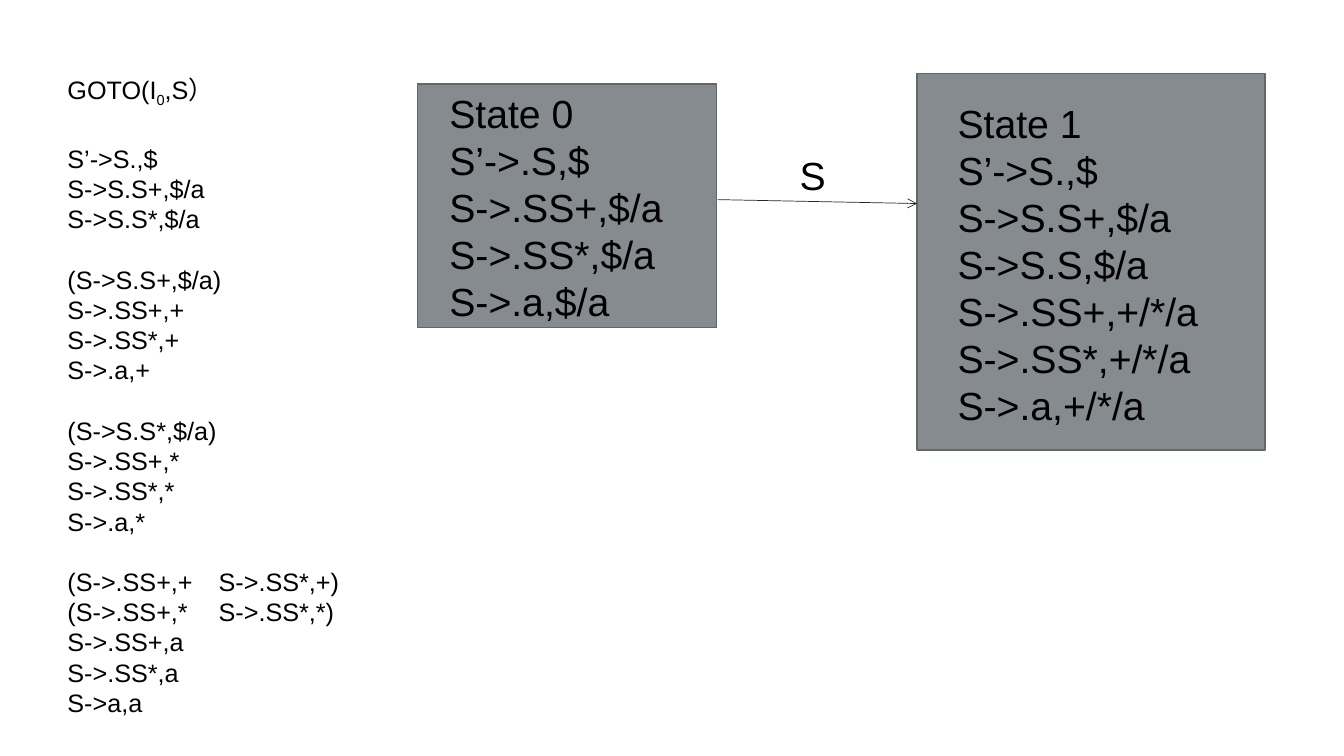
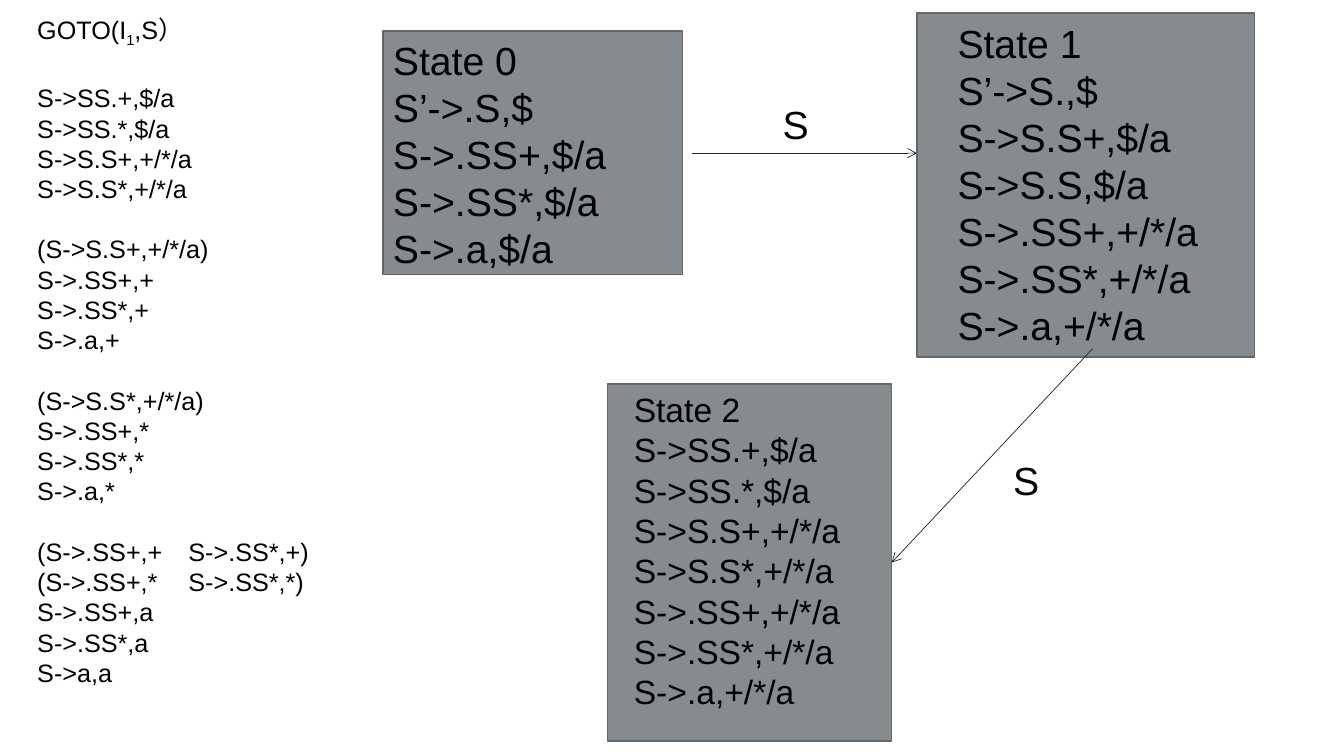
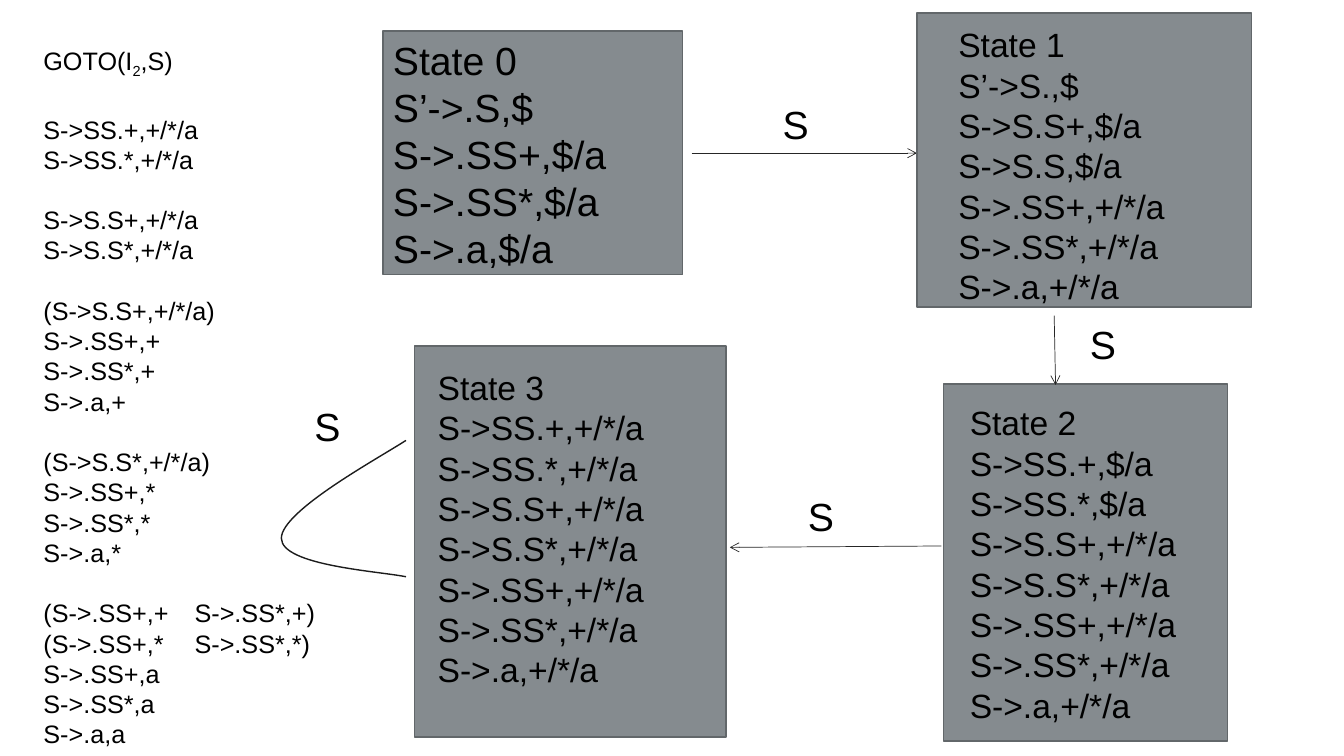
from pptx import Presentation
from pptx.dml.color import RGBColor
from pptx.enum.shapes import MSO_CONNECTOR, MSO_SHAPE
from pptx.enum.text import MSO_ANCHOR, MSO_AUTO_SIZE, PP_ALIGN
from pptx.oxml.xmlchemy import OxmlElement
from pptx.util import Pt

FONT = "Arial"
BLACK = "000000"
BOX_FILL = "858B8F"
BOX_LINE = "62676A"
ARROW_LINE = "262626"
LOOP_LINE = "1C1C1C"
LINE_FACTOR = 1.2
ITEM_SIZE = 18
ITEM_LINE = ITEM_SIZE * LINE_FACTOR
HEADING_STEP = 46
TAB_STOP = 100
MARGIN_X, MARGIN_Y = 7.2, 3.6

KERNEL = ["S->S.S+,+/*/a", "S->S.S*,+/*/a"]
CLOSURE = ["S->.SS+,+/*/a", "S->.SS*,+/*/a", "S->.a,+/*/a"]
STATE_0 = ["State 0", "S’->.S,$", "S->.SS+,$/a", "S->.SS*,$/a", "S->.a,$/a"]
STATE_1 = ["State 1", "S’->S.,$", "S->S.S+,$/a", "S->S.S,$/a"] + CLOSURE
STATE_2 = ["State 2", "S->SS.+,$/a", "S->SS.*,$/a"] + KERNEL + CLOSURE
STATE_3 = ["State 3", "S->SS.+,+/*/a", "S->SS.*,+/*/a"] + KERNEL + CLOSURE


def closure_groups(lookahead, last_item):
    """Item groups that follow from the two kernel items."""
    groups = [
        [f"(S->S.S{sign},{lookahead})", f"S->.SS+,{sign}", f"S->.SS*,{sign}", f"S->.a,{sign}"]
        for sign in "+*"
    ]
    pairs = [f"(S->.SS+,{sign}\tS->.SS*,{sign})" for sign in "+*"]
    return groups + [pairs + ["S->.SS+,a", "S->.SS*,a", last_item]]


def color(hex_text):
    return RGBColor.from_string(hex_text)


def add_span(para, text, *, size, subscript=False):
    span = para.add_run()
    span.text = text
    span.font.name = FONT
    span.font.size = Pt(size)
    span.font.bold = False
    span.font.color.rgb = color(BLACK)
    if subscript:
        span._r.get_or_add_rPr().set("baseline", "-25000")


def write_text(frame, text, *, size, align=PP_ALIGN.LEFT, before=0, tab=None):
    """Write text as the next paragraph of the frame."""
    first = frame.paragraphs[0]
    para = frame.add_paragraph() if first.runs else first
    properties = para._p.get_or_add_pPr()
    properties.set("marL", "0")
    properties.set("indent", "0")
    properties.append(OxmlElement("a:buNone"))
    if tab:
        tabs = OxmlElement("a:tabLst")
        stop = OxmlElement("a:tab")
        stop.set("pos", str(Pt(tab)))
        stop.set("algn", "l")
        tabs.append(stop)
        properties.append(tabs)
    para.alignment = align
    para.line_spacing = Pt(size * LINE_FACTOR)
    para.space_before = Pt(before)
    para.space_after = Pt(0)
    add_span(para, text, size=size)
    return para


def place(shape, left, top, width, height):
    shape.left, shape.top = Pt(left), Pt(top)
    shape.width, shape.height = Pt(width), Pt(height)


def set_frame(shape, left=MARGIN_X, top=MARGIN_Y):
    frame = shape.text_frame
    frame.word_wrap = True
    frame.auto_size = MSO_AUTO_SIZE.NONE
    frame.vertical_anchor = MSO_ANCHOR.TOP
    frame.margin_left, frame.margin_top = Pt(left), Pt(top)
    frame.margin_right, frame.margin_bottom = Pt(0), Pt(0)
    return frame


def add_goto(deck, left, top, width, number, ending, groups):
    """Add a slide with a GOTO heading and its groups of items."""
    page = deck.slides.add_slide(deck.slide_layouts[1])
    heading, body = page.placeholders
    place(heading, left, top, width, 32)
    para = write_text(set_frame(heading), "GOTO(I", size=ITEM_SIZE)
    add_span(para, number, size=ITEM_SIZE, subscript=True)
    add_span(para, ending, size=ITEM_SIZE)

    line_count = sum(len(group) for group in groups) + len(groups) - 1
    place(body, left, top + HEADING_STEP, width, line_count * ITEM_LINE + MARGIN_Y)
    frame = set_frame(body)
    for group_index, group in enumerate(groups):
        for item_index, item in enumerate(group):
            gap = ITEM_LINE if group_index and not item_index else 0
            tab = TAB_STOP if "\t" in item else None
            write_text(frame, item, size=ITEM_SIZE, before=gap, tab=tab)
    return page


def add_state(page, lines, left, top, width, height, *, size, indent=MARGIN_X, drop=MARGIN_Y):
    box = page.shapes.add_shape(
        MSO_SHAPE.RECTANGLE, Pt(left), Pt(top), Pt(width), Pt(height))
    box.shadow.inherit = False
    box.fill.solid()
    box.fill.fore_color.rgb = color(BOX_FILL)
    box.line.color.rgb = color(BOX_LINE)
    box.line.width = Pt(1)
    frame = set_frame(box, indent, drop)
    for line in lines:
        write_text(frame, line, size=size)
    return box


def add_label(page, left, top, width, align=PP_ALIGN.CENTER):
    box = page.shapes.add_textbox(Pt(left), Pt(top), Pt(width), Pt(41))
    frame = set_frame(box)
    frame.margin_right = Pt(MARGIN_X)
    write_text(frame, "S", size=28, align=align)


def add_arrow(page, start, end):
    arrow = page.shapes.add_connector(
        MSO_CONNECTOR.STRAIGHT, *[Pt(value) for value in start + end])
    arrow.line.color.rgb = color(ARROW_LINE)
    arrow.line.width = Pt(0.5)
    head = OxmlElement("a:tailEnd")
    head.set("type", "arrow")
    arrow.line._get_or_add_ln().append(head)
    arrow._element.spPr.append(OxmlElement("a:effectLst"))
    return arrow


def add_curve(page, start, points):
    """Draw Bézier segments; every three points make one segment."""
    builder = page.shapes.build_freeform(Pt(start[0]), Pt(start[1]))
    builder.add_line_segments([(Pt(x), Pt(y)) for x, y in points], close=False)
    curve = builder.convert_to_shape()
    lines = curve._element.xpath(".//a:lnTo")
    for index in range(0, len(lines), 3):
        segment = OxmlElement("a:cubicBezTo")
        lines[index].addprevious(segment)
        for line in lines[index:index + 3]:
            segment.append(line[0])
            line.getparent().remove(line)
    curve.shadow.inherit = False
    curve.fill.background()
    curve.line.color.rgb = color(LOOP_LINE)
    curve.line.width = Pt(1)


def add_first_step(page):
    """Add state 0 and its arrow towards state 1."""
    add_state(page, STATE_0, 273.6, 22.3, 214, 174, size=28)
    add_arrow(page, (494, 109.4), (655, 109.4))
    add_label(page, 532.8, 68.4, 71)


def goto_from_0(deck):
    groups = [["S’->S.,$", "S->S.S+,$/a", "S->S.S*,$/a"]]
    page = add_goto(deck, 41, 52.5, 245, "0", ",S）",
                    groups + closure_groups("$/a", "S->a,a"))
    add_state(page, STATE_0, 298, 60, 214, 174, size=28, indent=23)
    add_state(page, STATE_1, 655, 52.5, 248.5, 269, size=28, indent=29, drop=18.7)
    add_arrow(page, (512.6, 142.6), (655, 145.4))
    add_label(page, 545, 104.4, 71)


def goto_from_1(deck):
    groups = [["S->SS.+,$/a", "S->SS.*,$/a"] + KERNEL]
    page = add_goto(deck, 19.4, 9.4, 222, "1", ",S）",
                    groups + closure_groups("+/*/a", "S->a,a"))
    add_first_step(page)
    add_state(page, STATE_1, 655, 9.4, 241, 245.5, size=28, indent=29, drop=4.3)
    state_2 = add_state(page, STATE_2, 434, 274.3, 203, 255, size=24, indent=18.7)
    arrow = add_arrow(page, (780.5, 249), (637, 401.8))
    arrow.end_connect(state_2, 3)
    add_label(page, 699, 322.6, 68)


def goto_from_2(deck):
    groups = [["S->SS.+,+/*/a", "S->SS.*,+/*/a"], KERNEL]
    page = add_goto(deck, 23.8, 31.7, 215, "2", ",S)",
                    groups + closure_groups("+/*/a", "S->.a,a"))
    add_first_step(page)
    add_state(page, STATE_1, 655, 9.4, 239, 210, size=24, indent=29.5, drop=7.9)
    add_state(page, STATE_2, 674, 274.3, 203, 255, size=24, indent=18.7, drop=13)
    add_state(page, STATE_3, 296, 247, 222.5, 279.4, size=24, indent=16.6, drop=15)
    add_arrow(page, (753, 225.4), (754, 275))
    add_label(page, 753.8, 225.4, 68)
    add_arrow(page, (672.5, 390), (521.3, 391))
    add_label(page, 570, 348.5, 53, PP_ALIGN.LEFT)
    add_curve(page, (290, 412), [
        (270, 408), (201, 404), (201, 384.5),
        (201, 365), (270, 327.6), (290, 314.6),
    ])
    add_label(page, 217.5, 283.7, 58, PP_ALIGN.LEFT)


def main():
    deck = Presentation()
    deck.slide_width, deck.slide_height = Pt(960), Pt(540)
    goto_from_0(deck)
    goto_from_1(deck)
    goto_from_2(deck)
    deck.save("out.pptx")


if __name__ == "__main__":
    main()
